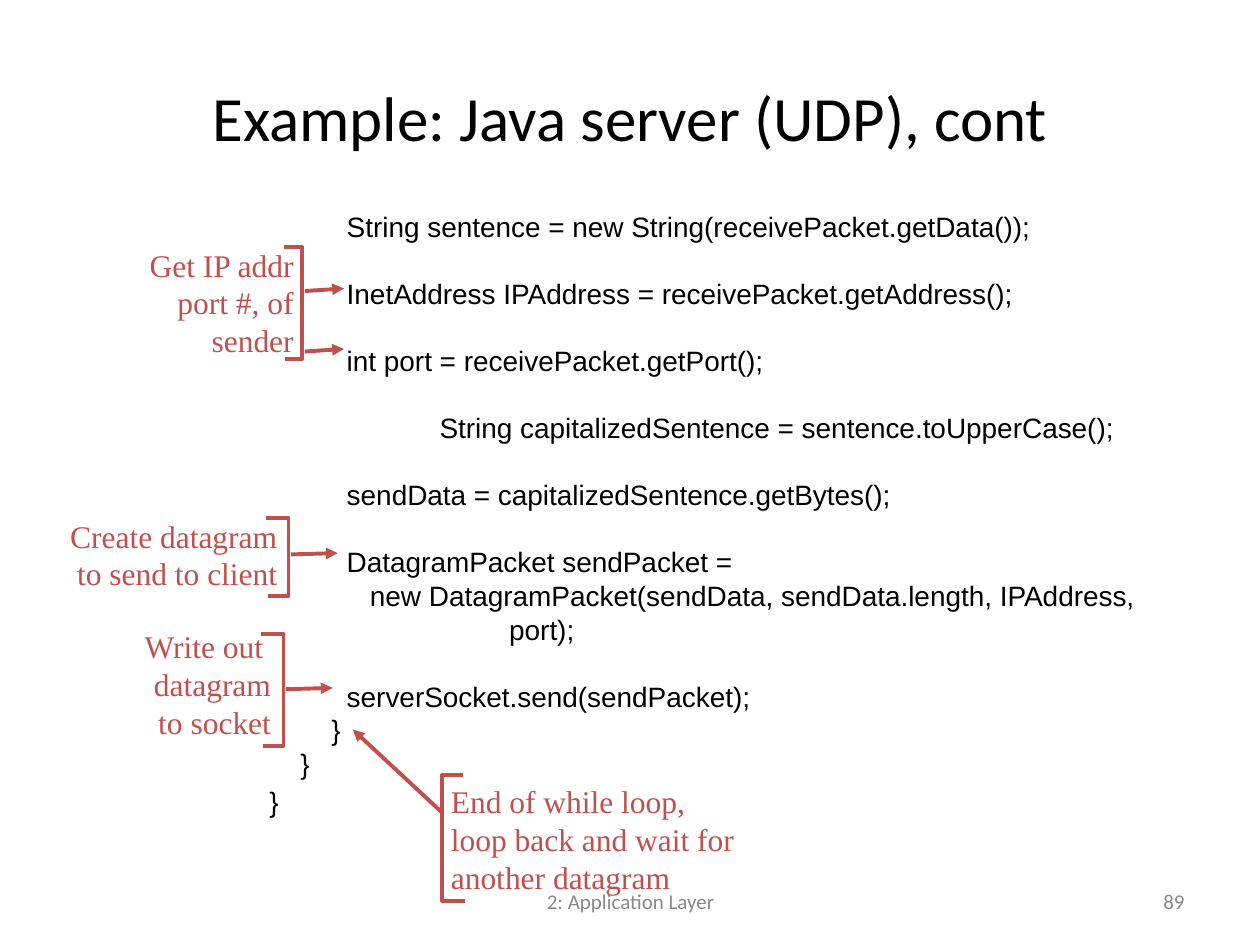
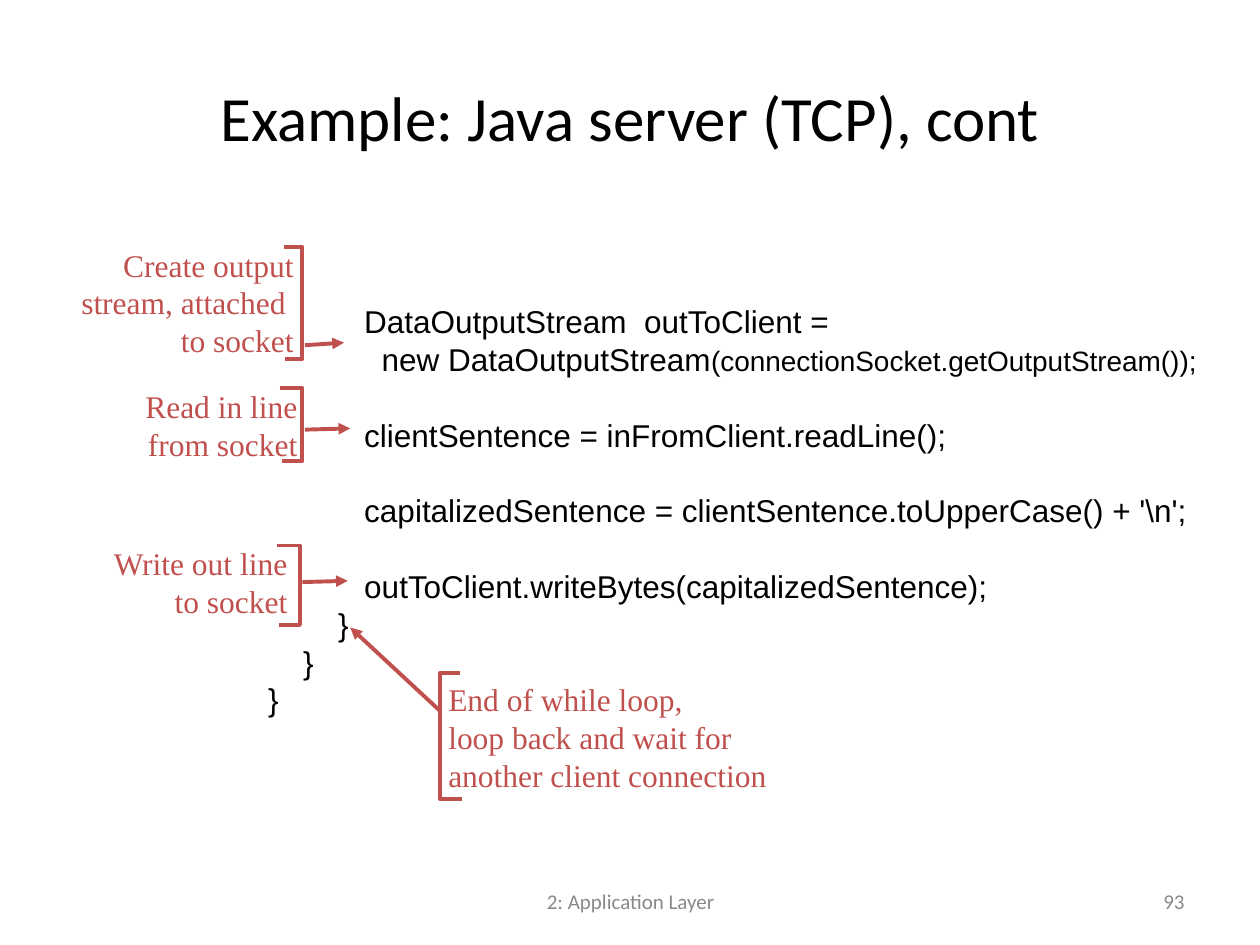
from dataclasses import dataclass

from lxml.etree import SubElement
from pptx import Presentation
from pptx.dml.color import RGBColor
from pptx.enum.shapes import MSO_CONNECTOR
from pptx.enum.text import MSO_ANCHOR, PP_ALIGN
from pptx.oxml.ns import qn
from pptx.util import Inches, Pt


@dataclass(frozen=True)
class Theme:
    ink: RGBColor = RGBColor(0, 0, 0)
    red: RGBColor = RGBColor(0xC0, 0x50, 0x4D)
    grey: RGBColor = RGBColor(0x89, 0x89, 0x89)
    sans: str = "Calibri"
    mono: str = "Arial"
    serif: str = "Times New Roman"
    title: int = 36
    note: int = 18
    code: int = 16
    foot: int = 12
    line: float = 2.25
    lead: float = 1.2


LOOK = Theme()
WIDE, HIGH = Inches(10), Inches(7.5)
COLS, ROWS = 100, 75
LEFT, MID, RIGHT = PP_ALIGN.LEFT, PP_ALIGN.CENTER, PP_ALIGN.RIGHT
CENTER, TOP = MSO_ANCHOR.MIDDLE, MSO_ANCHOR.TOP


def col(n):
    return round(WIDE * n / COLS)


def row(n):
    return round(HIGH * n / ROWS)


def apply(item, form):
    for key, value in form.items():
        setattr(item, key, value)


def add_run(para, text, face, size, tint):
    run = para.add_run()
    run.text = text
    apply(run.font, {"name": face, "size": Pt(size)})
    run.font.color.rgb = tint


def add_box(slide, box, anchor=CENTER):
    x, y, w, h = box
    frame = slide.shapes.add_textbox(col(x), row(y), col(w), row(h)).text_frame
    apply(frame, {"word_wrap": True, "vertical_anchor": anchor})
    return frame


def add_text(slide, box, lines, align, face, size, tint, lead=None):
    frame = add_box(slide, box)
    for i, line in enumerate(lines):
        para = frame.add_paragraph() if i else frame.paragraphs[0]
        apply(para, {"alignment": align, "line_spacing": lead})
        add_run(para, line, face, size, tint)


def add_frame(slide, title, page):
    add_text(slide, (5, 3, 90, 12.5), [title], MID, LOOK.sans, LOOK.title, LOOK.ink)
    for box, text, align in (
        ((34.2, 69.5, 31.7, 4), "2: Application Layer", MID),
        ((71.7, 69.5, 23.3, 4), page, RIGHT),
    ):
        add_text(slide, box, [text], align, LOOK.sans, LOOK.foot, LOOK.grey)


def add_code(slide, box, lines, size, last=0):
    frame = add_box(slide, box, TOP)
    pitch = size * LOOK.lead
    gap = 0
    para = frame.paragraphs[0]
    for i, line in enumerate(lines):
        if not line:
            gap += pitch
            continue
        if i:
            para = frame.add_paragraph()
        apply(para, {"line_spacing": Pt(pitch), "space_before": Pt(gap)})
        gap = 0
        for part, scale in zip(line.split("|"), (size, LOOK.code)):
            add_run(para, part, LOOK.mono, scale, LOOK.ink)
    para.space_before = Pt(last)


def add_hook(slide, box, flip=False):
    x, y, w, h = box
    spots = [(0, 0), (1, 0), (1, 1), (0.1, 1)]
    if flip:
        spots = [(1 - a, 1 - b) for a, b in spots]
    first, *rest = [(col(x + a * w), row(y + b * h)) for a, b in spots]
    path = slide.shapes.build_freeform(*first)
    path.add_line_segments(rest, close=False)
    shape = path.convert_to_shape()
    shape.shadow.inherit = False
    shape.fill.background()
    draw_line(shape)


def draw_line(shape):
    shape.line.color.rgb = LOOK.red
    shape.line.width = Pt(LOOK.line)


def add_arrow(slide, x, y, run, rise):
    link = slide.shapes.add_connector(
        MSO_CONNECTOR.STRAIGHT, col(x), row(y), col(x + run), row(y - rise))
    draw_line(link)
    prop = link.element.spPr
    SubElement(prop.find(qn("a:ln")), qn("a:tailEnd"), type="triangle")
    SubElement(prop, qn("a:effectLst"))


def add_note(slide, box, lines, arrows, shift=0.1, lift=0.6):
    x, y, w, h = box
    edge = x + w
    span = 22
    tall = 1 + 3 * len(lines)
    add_text(slide, (edge + shift - span, y - lift, span, tall), lines, RIGHT,
             LOOK.serif, LOOK.note, LOOK.red, Pt(LOOK.note * LOOK.lead))
    add_hook(slide, box)
    for drop, run, rise in arrows:
        add_arrow(slide, edge + 0.2, y + drop, run, rise)


def add_loop(slide, x, y, goal):
    lines = ["End of while loop,", "loop back and wait for", goal]
    add_text(slide, (x - 0.3, y + 0.1, 32.6, 10), lines, LEFT,
             LOOK.serif, LOOK.note, LOOK.red, Pt(LOOK.note * LOOK.lead))
    add_hook(slide, (x, y, 1.8, 10), flip=True)
    add_arrow(slide, x, y + 3, -7.1, 6.6)


UDP = [
    "          String sentence = new String(receivePacket.getData());",
    "",
    "          InetAddress IPAddress = receivePacket.getAddress();",
    "",
    "          int port = receivePacket.getPort();",
    "",
    "                      String capitalizedSentence = sentence.toUpperCase();",
    "",
    "          sendData = capitalizedSentence.getBytes();",
    "",
    "          DatagramPacket sendPacket =",
    "             new DatagramPacket(sendData, sendData.length, IPAddress,",
    "                               port);",
    "",
    "          serverSocket.send(sendPacket);",
    "        }",
    "    }",
    "}",
]
TCP = [
    "           DataOutputStream  outToClient =",
    "             new DataOutputStream|(connectionSocket.getOutputStream());",
    "",
    "           clientSentence = inFromClient.readLine();",
    "",
    "           capitalizedSentence = clientSentence.toUpperCase() + '\\n';",
    "",
    "           outToClient.writeBytes(capitalizedSentence);",
    "        }",
    "    }",
    "}",
]


def make_udp(slide):
    add_frame(slide, "Example: Java server (UDP), cont", "89")
    add_code(slide, (20.4, 16.1, 74, 49.3), UDP, LOOK.code, last=2.4)
    add_note(slide, (22.5, 19.6, 1.5, 8.9), ["Get IP addr", "port #, of", "sender"],
             [(3.5, 3.1, 0.2), (8.3, 3.1, 0.2)], shift=0.3)
    add_note(slide, (21.1, 41.1, 1.8, 6.2), ["Create datagram", "to send to client"],
             [(2.9, 3.7, 0.1)])
    add_note(slide, (20.7, 50.3, 1.8, 8.9), ["Write out ", "datagram", "to socket"],
             [(4.4, 3.7, 0.1)], shift=0, lift=1)
    add_loop(slide, 35.1, 61.5, "another datagram")


def make_tcp(slide):
    add_frame(slide, "Example: Java server (TCP), cont", "93")
    add_code(slide, (20.3, 23.5, 78, 34.1), TCP, LOOK.note)
    add_note(slide, (22.5, 19.6, 1.5, 8.9),
             ["Create output", "stream, attached ", "to socket"],
             [(7.8, 3.1, 0.2)], shift=0.3)
    add_note(slide, (22.2, 30.8, 1.8, 5.8), ["Read in line", "from socket"],
             [(3.3, 3.6, 0.1)], shift=0.6)
    add_note(slide, (22, 43.3, 1.8, 6.3), ["Write out line", "to socket"],
             [(2.9, 3.6, 0.1)], shift=0)
    add_loop(slide, 34.9, 53.4, "another client connection")


def main():
    deck = Presentation()
    apply(deck, {"slide_width": WIDE, "slide_height": HIGH})
    for make in (make_udp, make_tcp):
        make(deck.slides.add_slide(deck.slide_layouts[6]))
    deck.save("out.pptx")


if __name__ == "__main__":
    main()
